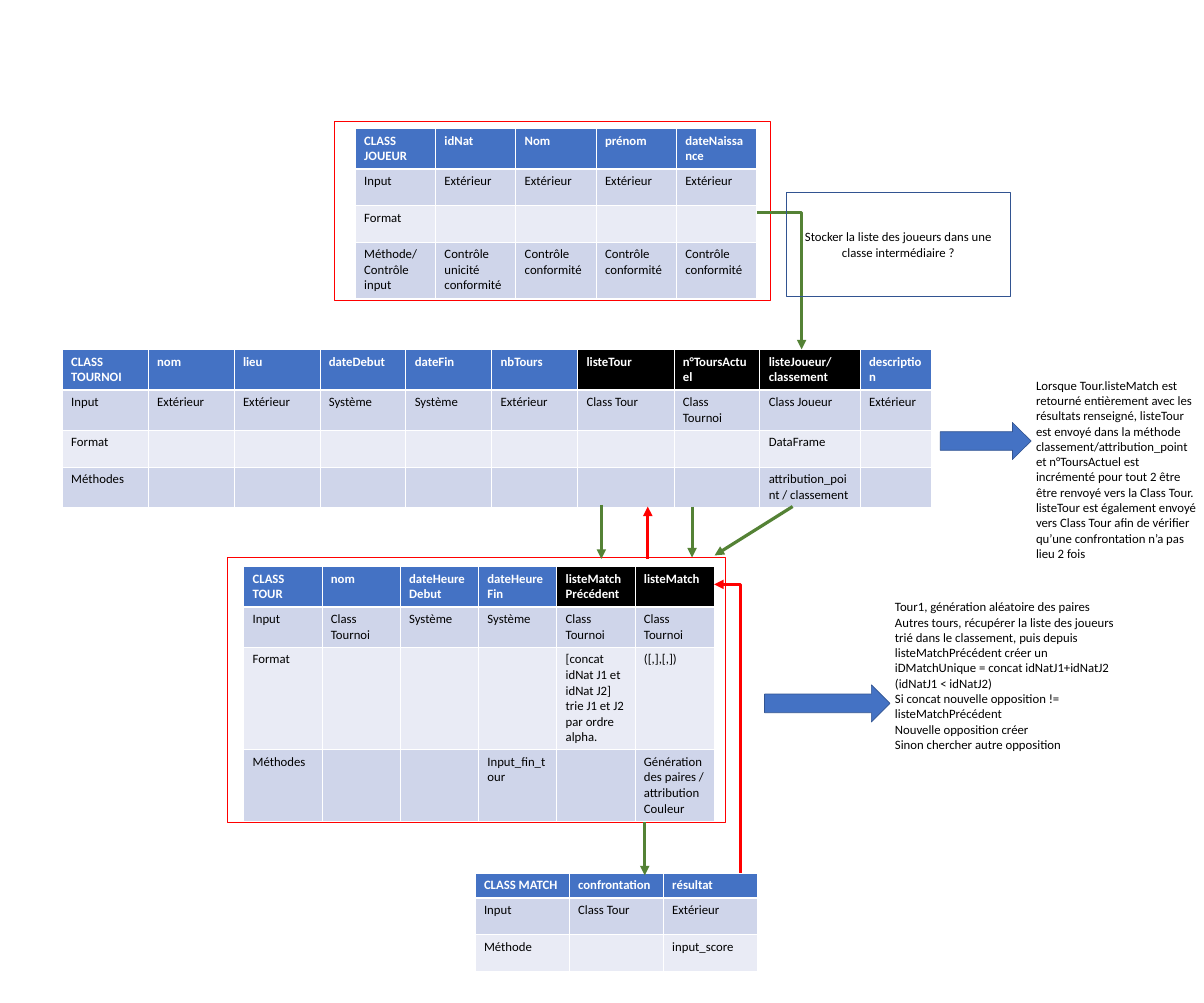
from lxml.etree import SubElement
from pptx import Presentation
from pptx.dml.color import RGBColor
from pptx.enum.shapes import MSO_CONNECTOR, MSO_SHAPE
from pptx.enum.text import MSO_ANCHOR, MSO_AUTO_SIZE, PP_ALIGN
from pptx.oxml.ns import qn
from pptx.util import Cm, Pt

# Colours and formats
BLUE, DARK_BLUE, RED, GREEN = "4472C4", "325491", "FF0000", "548235"
BLACK, WHITE, BANDS = "000000", "FFFFFF", ("CFD5EA", "E9EBF5")
FONT = {"name": "Calibri", "size": Pt(18)}
CELL = {"margin_left": Cm(0.45), "margin_right": Cm(0.45),
        "margin_top": Cm(0.23), "margin_bottom": Cm(0.23)}
NOTE = {"word_wrap": True, "auto_size": MSO_AUTO_SIZE.SHAPE_TO_FIT_TEXT}
CENTRED = {"word_wrap": True, "vertical_anchor": MSO_ANCHOR.MIDDLE}

# Class tables: position, column widths, row heights, black headers, rows (cm)
CONFORMITY = "Contrôle\nconformité"
TOURNOI = {
    "at": (3.1, 17.42), "cols": [4.28] * 6 + [4.8, 4.28, 5, 3.56],
    "heights": [1.95, 1.95, 1.83, 1.95],
    "black": ("listeTour", "n°ToursActuel", "listeJoueur/classement"),
    "rows": [
        ["CLASS TOURNOI", "nom", "lieu", "dateDebut", "dateFin", "nbTours",
         "listeTour", "n°ToursActuel", "listeJoueur/classement", "description"],
        ["Input", "Extérieur", "Extérieur", "Système", "Système", "Extérieur",
         "Class Tour", "Class Tournoi", "Class Joueur", "Extérieur"],
        ["Format"] + [""] * 7 + ["DataFrame", ""],
        ["Méthodes"] + [""] * 7 + ["attribution_point / classement", ""]]}
TOUR = {
    "at": (12.14, 28.24), "cols": [3.9] * 5 + [3.95],
    "heights": [1.95, 1.95, 5.05, 3.52],
    "black": ("listeMatchPrécédent", "listeMatch"),
    "rows": [
        ["CLASS TOUR", "nom", "dateHeureDebut", "dateHeureFin",
         "listeMatchPrécédent", "listeMatch"],
        ["Input", "Class Tournoi", "Système", "Système",
         "Class Tournoi", "Class Tournoi"],
        ["Format", "", "", "",
         "[concat idNat J1 et idNat J2] trie J1 et J2 par ordre alpha.",
         "([,],[,])"],
        ["Méthodes", "", "", "Input_fin_tour", "",
         "Génération des paires /\vattributionCouleur"]]}
MATCH = {
    "at": (23.67, 43.51), "cols": [4.69] * 3, "heights": [1.19, 1.83, 1.83],
    "black": (),
    "rows": [["CLASS MATCH", "confrontation", "résultat"],
             ["Input", "Class Tour", "Extérieur"],
             ["Méthode", "", "input_score"]]}
JOUEUR = {
    "at": (17.7, 6.4), "cols": [4] * 5, "heights": [1.95, 1.83, 1.83, 2.72],
    "black": (),
    "rows": [["CLASS JOUEUR", "idNat", "Nom", "prénom", "dateNaissance"],
             ["Input"] + ["Extérieur"] * 4,
             ["Format"] + [""] * 4,
             ["Méthode/Contrôle input", "Contrôle\vunicité\nconformité"]
             + [CONFORMITY] * 3]}

# Left, top, width, height
FRAMES = [(11.35, 27.79, 24.82, 13.23), (16.66, 6.07, 21.74, 8.89)]
BLOCK_ARROWS = [(46.86, 21.06, 4.52, 1.85), (38.1, 34.14, 6.25, 1.85)]

# Start, end, colour, geometry, end that carries the arrowhead
LINKS = [
    ((32.28, 27.86), (32.28, 25.25), RED, "line", "tailEnd"),
    ((37.72, 10.59), (39.95, 17.42), GREEN, "bentConnector2", "tailEnd"),
    ((34.49, 25.25), (34.49, 27.79), GREEN, "line", "tailEnd"),
    ((32.13, 41), (32.13, 43.64), GREEN, "line", "tailEnd"),
    ((35.59, 29.13), (36.91, 43.51), RED, "bentConnector2", "headEnd"),
    ((29.97, 25.17), (29.97, 27.86), GREEN, "line", "tailEnd"),
    ((39.5, 25.25), (35.61, 27.69), GREEN, "line", "tailEnd")]

QUESTION = ((39.2, 9.6, 11.13, 5.16),
            "Stocker la liste des joueurs dans une classe intermédiaire ?")
NOTES = [
    ((51.38, 18.69, 8.61, 9.5),
     "Lorsque Tour.listeMatch est retourné entièrement avec les résultats "
     "renseigné, listeTour est envoyé dans la méthode "
     "classement/attribution_point et n°ToursActuel est incrémenté pour tout "
     "2 être être renvoyé vers la Class Tour. listeTour est également envoyé "
     "vers Class Tour afin de vérifier qu’une confrontation n’a pas lieu 2 fois"),
    ((44.35, 29.74, 12.09, 7.95),
     "Tour1, génération aléatoire des paires\n"
     "Autres tours, récupérer la liste des joueurs trié dans le classement, "
     "puis depuis listeMatchPrécédent créer un iDMatchUnique = concat "
     "idNatJ1+idNatJ2 (idNatJ1 < idNatJ2)\n"
     "Si concat nouvelle opposition != listeMatchPrécédent\n"
     "Nouvelle opposition créer\n"
     "Sinon chercher autre opposition")]


def rgb(colour):
    return RGBColor.from_string(colour)


def cms(values):
    return [Cm(v) for v in values]


def set_format(obj, values):
    for name, value in values.items():
        setattr(obj, name, value)


def write(tf, text, colour=BLACK, bold=False, align=PP_ALIGN.LEFT):
    tf.text = text
    for p in tf.paragraphs:
        p.alignment = align
        for r in p.runs:
            set_format(r.font, {**FONT, "bold": bold})
            r.font.color.rgb = rgb(colour)


def add_borders(cell, header):
    tc_pr = cell._tc.get_or_add_tcPr()
    for side in ("lnL", "lnR", "lnT", "lnB"):
        width = Pt(3 if header and side == "lnB" else 1)
        ln = SubElement(tc_pr, qn(f"a:{side}"), w=str(width))
        SubElement(SubElement(ln, qn("a:solidFill")), qn("a:srgbClr"), val=WHITE)


def add_class_table(s, data):
    cols, heights = cms(data["cols"]), cms(data["heights"])
    table = s.shapes.add_table(len(heights), len(cols), *cms(data["at"]),
                               sum(cols), sum(heights)).table
    for column, width in zip(table.columns, cols):
        column.width = width
    for i, texts in enumerate(data["rows"]):
        table.rows[i].height = heights[i]
        header = i == 0
        for j, text in enumerate(texts):
            cell = table.cell(i, j)
            set_format(cell, CELL)
            add_borders(cell, header)
            head_fill = BLACK if text in data["black"] else BLUE
            cell.fill.solid()
            cell.fill.fore_color.rgb = rgb(head_fill if header else BANDS[(i - 1) % 2])
            if text:
                write(cell.text_frame, text, WHITE if header else BLACK, header)


def add_box(s, kind, at, line, fill=None):
    sp = s.shapes.add_shape(kind, *cms(at))
    sp.shadow.inherit = False
    sp.line.color.rgb = rgb(line)
    sp.line.width = Pt(1)
    if fill:
        sp.fill.solid()
        sp.fill.fore_color.rgb = rgb(fill)
    else:
        sp.fill.background()
    return sp


def add_link(s, start, end, colour, geometry, arrow_end):
    sp = s.shapes.add_connector(MSO_CONNECTOR.STRAIGHT, *cms(start + end))
    sp.line.color.rgb = rgb(colour)
    sp.line.width = Pt(4.5)
    sp_pr = sp._element.spPr
    sp_pr.find(qn("a:prstGeom")).set("prst", geometry)
    SubElement(sp_pr.find(qn("a:ln")), qn(f"a:{arrow_end}"), type="triangle")
    SubElement(sp_pr, qn("a:effectLst"))


def main():
    prs = Presentation()
    set_format(prs, {"slide_width": Cm(60), "slide_height": Cm(50)})
    s = prs.slides.add_slide(prs.slide_layouts[6])

    # Tables and their red frames
    for data in (TOURNOI, TOUR, MATCH):
        add_class_table(s, data)
    for at in FRAMES:
        add_box(s, MSO_SHAPE.RECTANGLE, at, RED)
    add_class_table(s, JOUEUR)

    # Links between classes
    for link in LINKS:
        add_link(s, *link)

    # Question, notes and block arrows
    at, text = QUESTION
    tf = add_box(s, MSO_SHAPE.RECTANGLE, at, DARK_BLUE).text_frame
    set_format(tf, CENTRED)
    write(tf, text, align=PP_ALIGN.CENTER)
    for at, text in NOTES:
        tf = s.shapes.add_textbox(*cms(at)).text_frame
        set_format(tf, NOTE)
        write(tf, text)
    for at in BLOCK_ARROWS:
        add_box(s, MSO_SHAPE.RIGHT_ARROW, at, DARK_BLUE, BLUE)

    prs.save("out.pptx")


if __name__ == "__main__":
    main()
